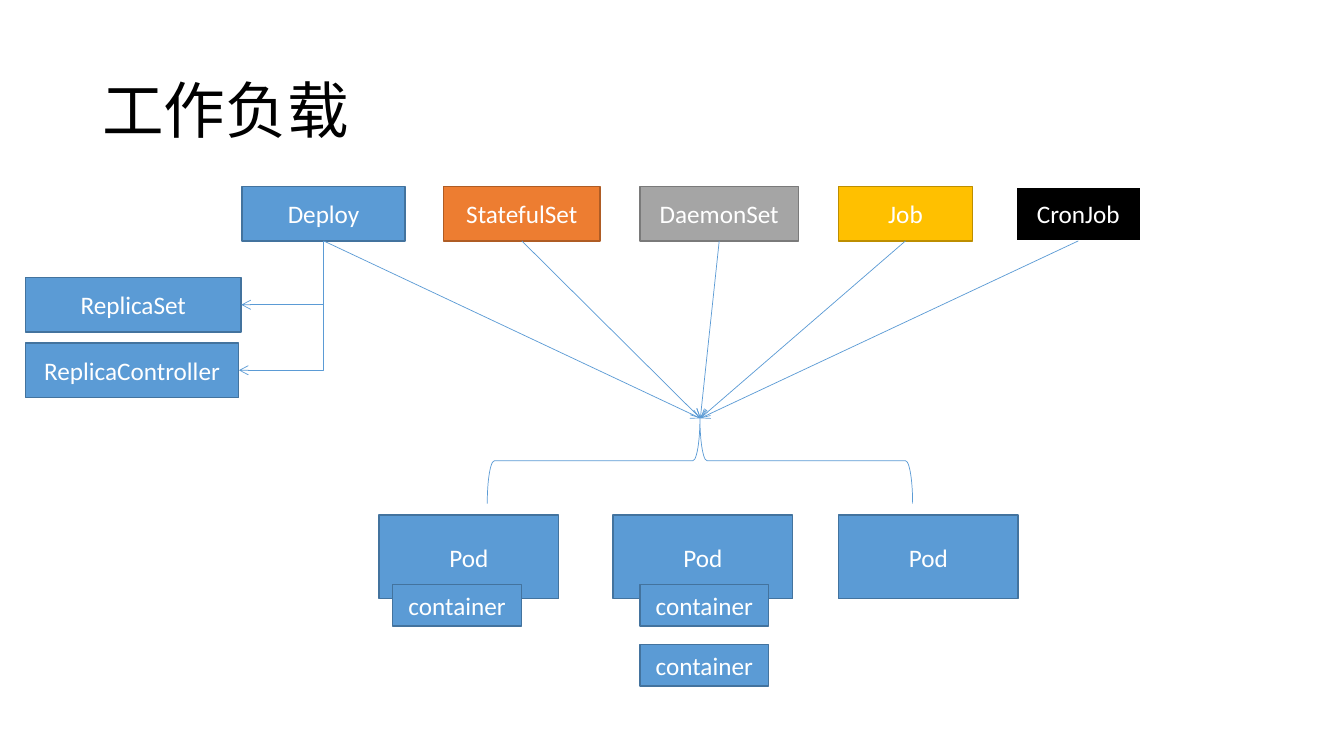
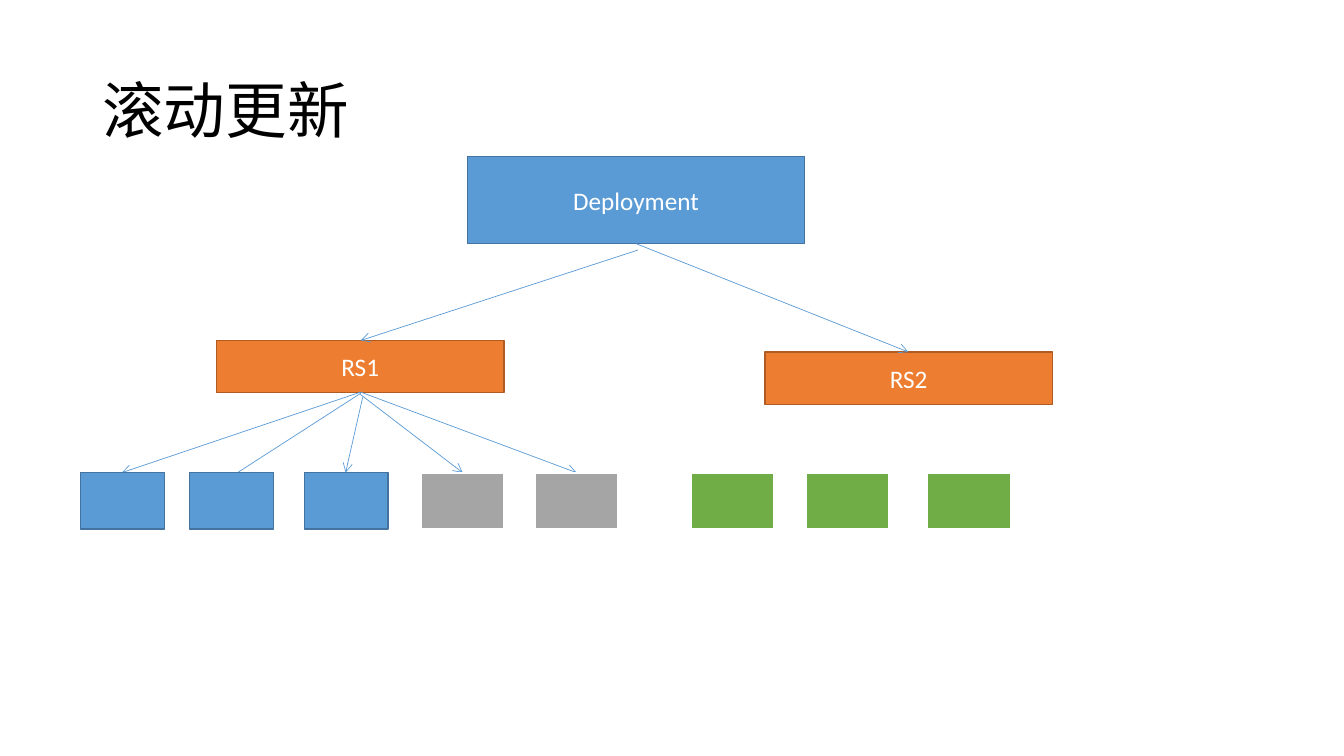
from pptx import Presentation
from pptx.dml.color import RGBColor
from pptx.enum.shapes import MSO_CONNECTOR, MSO_SHAPE
from pptx.enum.text import MSO_ANCHOR, PP_ALIGN
from pptx.oxml.ns import qn
from pptx.util import Cm, Pt
from lxml.etree import SubElement

INK = {"blue": "5B9BD5", "navy": "43739E", "orange": "ED7D31", "rust": "AF5C24",
       "gray": "A5A5A5", "slate": "7A7A7A", "gold": "FFC000", "brown": "BD8E00",
       "green": "70AD47", "black": "000000", "white": "FFFFFF"}
FONT = "Calibri"


def box(text, at, fill="blue", edge="navy", width=1, kind=MSO_SHAPE.RECTANGLE,
        size=18, color="white", align=PP_ALIGN.CENTER, gap=1.0):
    shape = slide.shapes.add_shape(kind, *[Cm(n) for n in at])
    shape.shadow.inherit = False
    if fill:
        shape.fill.solid()
        shape.fill.fore_color.rgb = RGBColor.from_string(INK[fill])
    else:
        shape.fill.background()
    if edge:
        shape.line.color.rgb = RGBColor.from_string(INK[edge])
        shape.line.width = Pt(width)
    else:
        shape.line.fill.background()
    if text:
        frame = shape.text_frame
        frame.word_wrap = True
        frame.vertical_anchor = MSO_ANCHOR.MIDDLE
        para = frame.paragraphs[0]
        para.alignment = align
        para.line_spacing = gap
        run = para.add_run()
        run.text = text
        run.font.name = FONT
        run.font.size = Pt(size)
        run.font.color.rgb = RGBColor.from_string(INK[color])
    return shape


def arrow(start, end, bent=False):
    (x, y), (u, v) = start, end
    if bent:
        mid, level = (x + u) / 2, (y + v) / 2
        half, rise = (v - y) / 2, (x - u) / 2
        x, y, u, v = mid - half, level - rise, mid + half, level + rise
    kind = MSO_CONNECTOR.ELBOW if bent else MSO_CONNECTOR.STRAIGHT
    link = slide.shapes.add_connector(kind, Cm(x), Cm(y), Cm(u), Cm(v))
    link.line.color.rgb = RGBColor.from_string(INK["blue"])
    link.line.width = Pt(0.5)
    props = link._element.spPr
    if bent:
        props.find(qn("a:xfrm")).set("rot", str(90 * 60000))
        props.find(qn("a:prstGeom")).set("prst", "bentConnector2")
    SubElement(props.find(qn("a:ln")), qn("a:tailEnd"), type="arrow")
    SubElement(props, qn("a:effectLst"))


deck = Presentation()
deck.slide_width, deck.slide_height = Cm(33.87), Cm(19.05)
pages = []
for title in ["工作负载", "滚动更新"]:
    slide = deck.slides.add_slide(deck.slide_layouts[6])
    box(title, (2.33, 1.01, 29.21, 3.68), fill=None, edge=None, size=44,
        color="black", align=PP_ALIGN.LEFT, gap=0.9)
    pages.append(slide)

slide = pages[0]
top, tall = 4.7, 1.37
base = top + tall
hub = (17.65, 10.54)
loads = [("Deploy", 6.1, 4.11, "blue", "navy", 1),
         ("StatefulSet", 11.18, 3.94, "orange", "rust", 1),
         ("DaemonSet", 16.13, 3.99, "gray", "slate", 1),
         ("Job", 21.13, 3.38, "gold", "brown", 1),
         ("CronJob", 25.6, 3.15, "black", "white", 1.5)]
for name, left, wide, fill, edge, width in loads:
    box(name, (left, top, wide, tall), fill=fill, edge=edge, width=width)
    arrow((left + wide / 2, base), hub)

stem = (loads[0][1] + loads[0][2] / 2, base)
for name, y, wide in [("ReplicaSet", 6.99, 5.44), ("ReplicaController", 8.64, 5.38)]:
    box(name, (0.64, y, wide, 1.38))
    arrow(stem, (0.64 + wide, y + 0.69), bent=True)

box("", (16.56, 6.25, 2.16, 10.72), fill=None, edge="blue", width=0.5,
    kind=MSO_SHAPE.RIGHT_BRACE).rotation = 270
for left in [9.55, 15.45, 21.13]:
    box("Pod", (left, 12.98, 4.53, 2.11))
for left, y in [(9.9, 14.73), (16.13, 14.73), (16.13, 16.24)]:
    box("container", (left, y, 3.24, 1.05))

slide = pages[1]
box("Deployment", (11.79, 3.95, 8.48, 2.19))
for name, left, y in [("RS1", 5.46, 8.58), ("RS2", 19.28, 8.87)]:
    box(name, (left, y, 7.24, 1.32), fill="orange", edge="rust")
arrow((16.08, 6.3), (9.09, 8.58))
arrow((16.03, 6.14), (22.89, 8.87))

row = 11.91
ends = [(3.07, row), (5.66, 12.12), (8.71, row), (11.66, row), (14.53, row)]
starts = [(9.09, 9.88), (9.09, 9.91), (9.14, 10.01), (9.07, 9.93), (9.09, 9.88)]
for start, end in zip(starts, ends):
    arrow(start, end)
groups = [("blue", "navy", 1, [2.03, 4.78, 7.67]),
          ("gray", "white", 1.5, [10.6, 13.47]),
          ("green", "white", 1.5, [17.41, 20.3, 23.36])]
for fill, edge, width, lefts in groups:
    for left in lefts:
        box("", (left, row, 2.11, 1.42), fill=fill, edge=edge, width=width)

deck.save("out.pptx")
